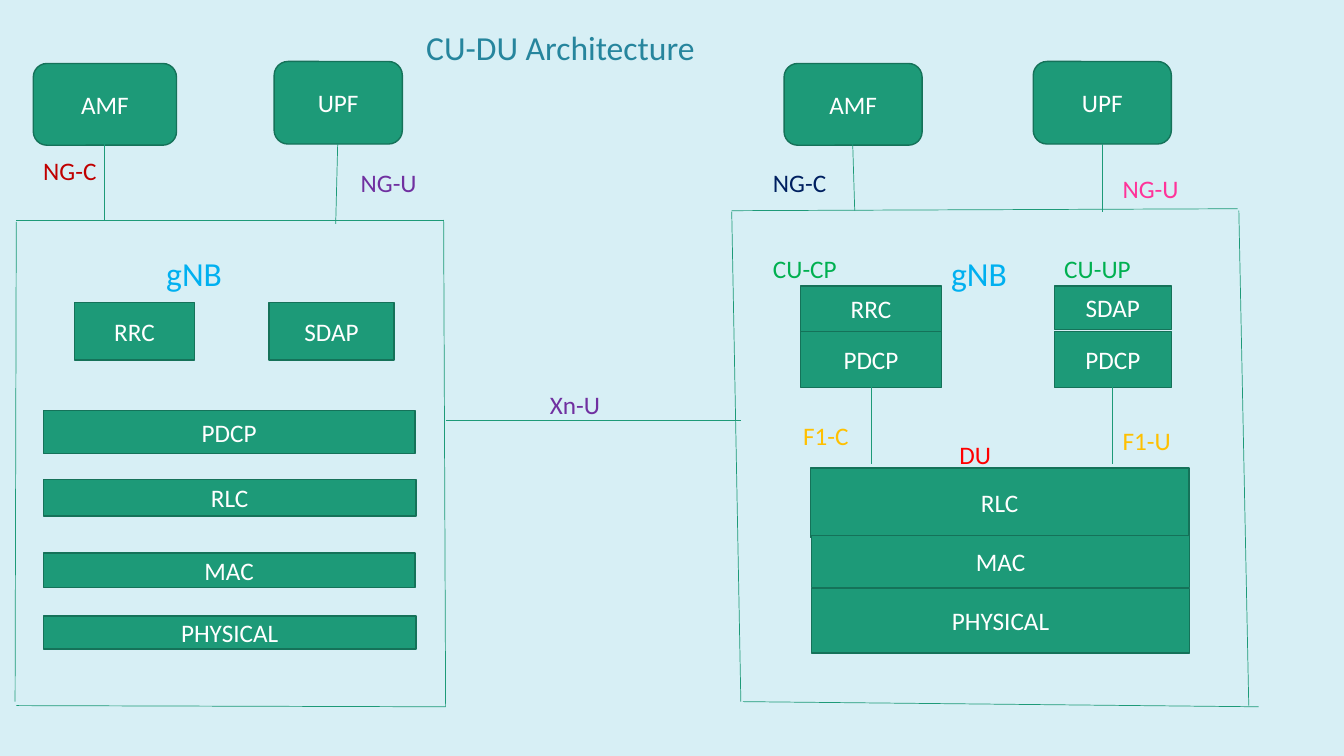
from dataclasses import dataclass
from pptx import Presentation
from pptx.dml.color import RGBColor
from pptx.enum.shapes import MSO_CONNECTOR, MSO_SHAPE
from pptx.enum.text import MSO_ANCHOR, PP_ALIGN
from pptx.oxml.ns import qn
from pptx.slide import Slide
from pptx.text.text import TextFrame
from pptx.util import Cm, Pt
from lxml.etree import SubElement

BACKGROUND = RGBColor(0xD7, 0xEF, 0xF5)
GREEN = RGBColor(0x1D, 0x9A, 0x78)
DARK_GREEN = RGBColor(0x15, 0x72, 0x59)
WHITE = RGBColor(0xFF, 0xFF, 0xFF)
TEAL = RGBColor(0x26, 0x85, 0x9D)
DARK_RED = RGBColor(0xC0, 0x00, 0x00)
RED = RGBColor(0xFF, 0x00, 0x00)
PURPLE = RGBColor(0x70, 0x30, 0xA0)
SKY = RGBColor(0x00, 0xB0, 0xF0)
LEAF = RGBColor(0x00, 0xB0, 0x50)
NAVY = RGBColor(0x00, 0x20, 0x60)
PINK = RGBColor(0xFF, 0x33, 0x99)
AMBER = RGBColor(0xFF, 0xC0, 0x00)
FONT = "Calibri"


@dataclass(frozen=True)
class Block:
    text: str
    left: float
    top: float
    width: float
    height: float
    preset: MSO_SHAPE = MSO_SHAPE.RECTANGLE


@dataclass(frozen=True)
class Link:
    start_x: float
    start_y: float
    end_x: float
    end_y: float


@dataclass(frozen=True)
class Label:
    text: str
    left: float
    top: float
    width: float
    color: RGBColor
    size: int = 18


CORE_FUNCTIONS = [
    Block(text, left, top, width, height, MSO_SHAPE.ROUNDED_RECTANGLE)
    for text, left, top, width, height in (
        ("AMF", 0.84, 1.6, 3.61, 2.06),
        ("UPF", 6.91, 1.55, 3.23, 2.08),
        ("AMF", 19.76, 1.6, 3.48, 2.06),
        ("UPF", 26.04, 1.55, 3.48, 2.08),
    )
]
SINGLE_GNB_LAYERS = [
    Block("RRC", 1.88, 7.62, 3.02, 1.45),
    Block("SDAP", 6.78, 7.62, 3.15, 1.45),
    Block("PDCP", 1.09, 10.34, 9.37, 1.09),
    Block("RLC", 1.09, 12.09, 9.4, 0.91),
    Block("MAC", 1.09, 13.94, 9.37, 0.86),
    Block("PHYSICAL", 1.09, 15.52, 9.4, 0.84),
]
SPLIT_GNB_LAYERS = [
    Block("RRC", 20.17, 7.21, 3.56, 1.14),
    Block("PDCP", 20.17, 8.36, 3.56, 1.4),
    Block("SDAP", 26.57, 7.21, 2.95, 1.09),
    Block("PDCP", 26.57, 8.36, 2.95, 1.4),
    Block("RLC", 20.42, 11.79, 9.55, 1.75),
    Block("MAC", 20.45, 13.49, 9.53, 1.32),
    Block("PHYSICAL", 20.45, 14.83, 9.53, 1.63),
]
SINGLE_GNB_BORDER = [
    Link(0.41, 5.56, 11.18, 5.56),
    Link(11.18, 5.54, 11.23, 17.81),
    Link(0.41, 5.59, 0.38, 17.68),
    Link(0.41, 17.78, 11.23, 17.81),
]
SPLIT_GNB_BORDER = [
    Link(18.44, 5.31, 31.19, 5.26),
    Link(18.44, 5.33, 18.67, 17.68),
    Link(31.22, 5.31, 31.47, 17.78),
    Link(18.72, 17.68, 31.72, 17.81),
]
INTERFACES = [
    Link(2.64, 3.63, 2.64, 5.54),
    Link(8.51, 3.63, 8.46, 5.64),
    Link(21.49, 3.63, 21.54, 5.31),
    Link(27.79, 3.63, 27.79, 5.33),
    Link(11.23, 10.59, 18.67, 10.59),
    Link(21.95, 9.75, 21.95, 11.68),
    Link(28.04, 9.75, 28.04, 11.68),
]
LABELS = [
    Label("CU-DU Architecture", 10.49, 0.56, 8.18, TEAL, 24),
    Label("NG-C", 0.84, 3.78, 1.96, DARK_RED),
    Label("NG-U", 8.84, 4.09, 2.36, PURPLE),
    Label("gNB", 3.94, 6.25, 2.31, SKY, 24),
    Label("Xn-U", 13.61, 9.68, 3.23, PURPLE),
    Label("NG-C", 19.23, 4.09, 2.29, NAVY),
    Label("NG-U", 28.04, 4.24, 2.16, PINK),
    Label("CU-CP", 19.23, 6.25, 2.29, LEAF),
    Label("gNB", 23.72, 6.25, 2.31, SKY, 24),
    Label("CU-UP", 26.57, 6.25, 2.95, LEAF),
    Label("F1-C", 19.99, 10.46, 1.83, AMBER),
    Label("F1-U", 28.04, 10.59, 1.75, AMBER),
    Label("DU", 23.93, 10.95, 3.1, RED),
]


def write_text(frame: TextFrame, text: str, *, color: RGBColor, size: int = 18,
               align: PP_ALIGN = PP_ALIGN.LEFT,
               anchor: MSO_ANCHOR = MSO_ANCHOR.TOP) -> None:
    frame.word_wrap = True
    frame.vertical_anchor = anchor
    paragraph = frame.paragraphs[0]
    paragraph.alignment = align
    run = paragraph.add_run()
    run.text = text
    run.font.name = FONT
    run.font.size = Pt(size)
    run.font.color.rgb = color


def draw_block(slide: Slide, block: Block) -> None:
    shape = slide.shapes.add_shape(block.preset, Cm(block.left), Cm(block.top),
                                   Cm(block.width), Cm(block.height))
    shape.shadow.inherit = False
    shape.fill.solid()
    shape.fill.fore_color.rgb = GREEN
    shape.line.color.rgb = DARK_GREEN
    shape.line.width = Pt(1)
    write_text(shape.text_frame, block.text, color=WHITE,
               align=PP_ALIGN.CENTER, anchor=MSO_ANCHOR.MIDDLE)


def draw_link(slide: Slide, link: Link) -> None:
    connector = slide.shapes.add_connector(
        MSO_CONNECTOR.STRAIGHT, Cm(link.start_x), Cm(link.start_y),
        Cm(link.end_x), Cm(link.end_y))
    connector.line.color.rgb = GREEN
    connector.line.width = Pt(0.5)
    SubElement(connector._element.spPr, qn("a:effectLst"))


def draw_label(slide: Slide, label: Label) -> None:
    height = 1.28 if label.size > 18 else 1.03
    box = slide.shapes.add_textbox(Cm(label.left), Cm(label.top),
                                   Cm(label.width), Cm(height))
    write_text(box.text_frame, label.text, color=label.color, size=label.size)


presentation = Presentation()
presentation.slide_width = Cm(33.87)
presentation.slide_height = Cm(19.05)
slide = presentation.slides.add_slide(presentation.slide_layouts[6])
slide.background.fill.solid()
slide.background.fill.fore_color.rgb = BACKGROUND

for block in CORE_FUNCTIONS + SINGLE_GNB_LAYERS + SPLIT_GNB_LAYERS:
    draw_block(slide, block)
for link in SINGLE_GNB_BORDER + SPLIT_GNB_BORDER + INTERFACES:
    draw_link(slide, link)
for label in LABELS:
    draw_label(slide, label)

presentation.save("out.pptx")
